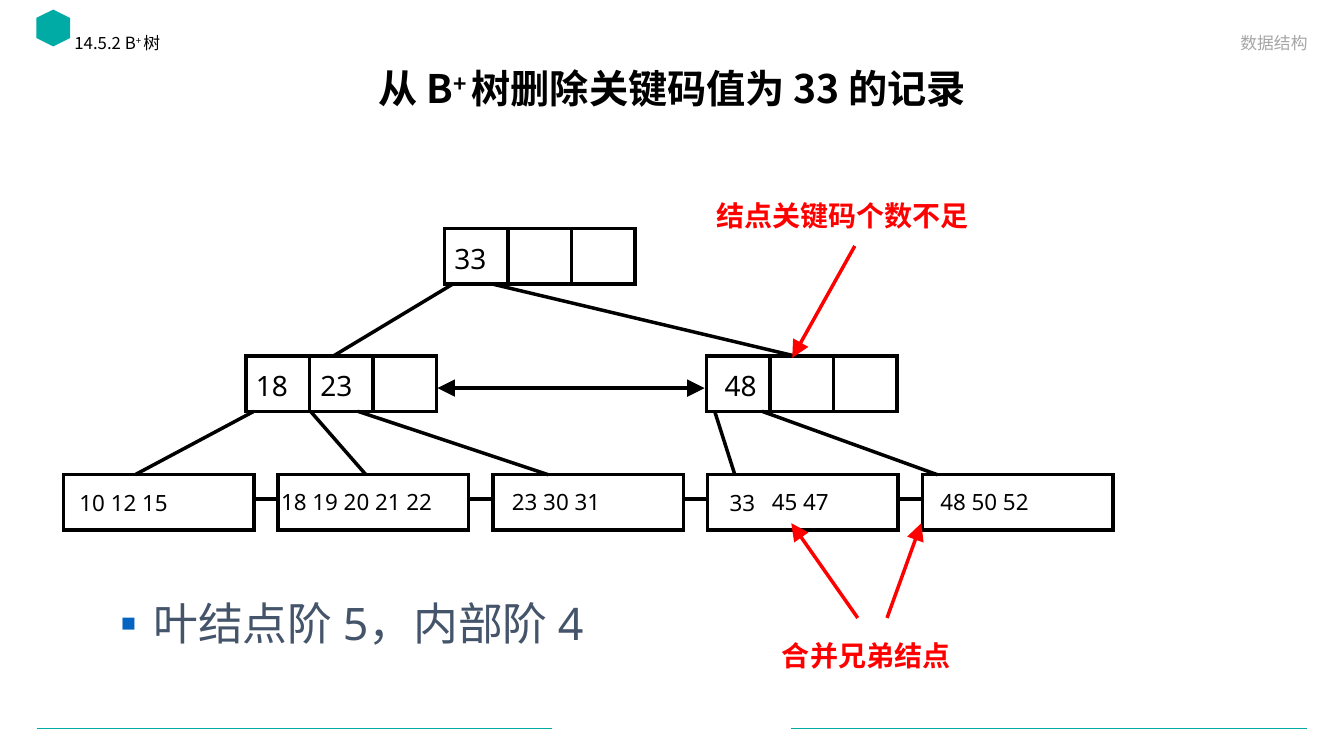
"""Build a slide on deleting key 33 from a B+ tree."""
from dataclasses import dataclass

from lxml.etree import SubElement
from pptx import Presentation
from pptx.dml.color import RGBColor
from pptx.enum.shapes import MSO_CONNECTOR, MSO_SHAPE
from pptx.enum.text import MSO_ANCHOR, MSO_AUTO_SIZE, PP_ALIGN
from pptx.oxml.ns import qn
from pptx.util import Pt

BLACK = RGBColor(0x00, 0x00, 0x00)
RED = RGBColor(0xFF, 0x00, 0x00)
TEAL = RGBColor(0x00, 0xAB, 0xA5)
GREY = RGBColor(0xA6, 0xA6, 0xA6)
SLATE = RGBColor(0x44, 0x54, 0x6A)
BULLET_BLUE = "0563C1"
SANS = "Noto Sans"
SANS_CJK = "Noto Sans CJK SC"

NODE_WIDTH, NODE_HEIGHT = 136.1, 39.6
CELL_WIDTH = NODE_WIDTH / 3
LEAF_LEFT, LEAF_TOP, LEAF_PITCH, LEAF_COUNT = 45.4, 339.1, 153.35, 5
LEAF_LINK_Y = 356.4
ROOT_TOP, INNER_TOP = 163.4, 254.2
ROOT_BOTTOM, INNER_BOTTOM = ROOT_TOP + NODE_HEIGHT, INNER_TOP + NODE_HEIGHT
HANGING = 27.4


@dataclass(frozen=True)
class Node:
    left: float
    top: float


@dataclass(frozen=True)
class Label:
    text: str
    left: float
    top: float
    width: float
    height: float = 31.7
    size: float = 20
    color: RGBColor = BLACK
    bold: bool = False
    wrap: bool = False


@dataclass(frozen=True)
class Line:
    x1: float
    y1: float
    x2: float
    y2: float
    color: RGBColor = BLACK
    width: float = 2.5
    head: bool = False
    tail: bool = False


INNER_NODES = (Node(317.5, ROOT_TOP), Node(175.7, INNER_TOP), Node(504.7, INNER_TOP))
LEAVES = [Node(LEAF_LEFT + i * LEAF_PITCH, LEAF_TOP) for i in range(LEAF_COUNT)]

INNER_KEYS = (
    Label("33", 317.5, 169.2, 40.3),
    Label("18", 175.7, 259.9, 40.3),
    Label("23", 221.8, 259.9, 40.3),
    Label("48", 510.5, 259.9, 40.3),
)
LEAF_KEYS = [
    Label(text, left, top, width, 26.6, 16)
    for text, left, top, width in (
        ("10 12 15", 49.7, 345.6, 86.4),
        ("18 19 20 21 22", 193.7, 344.9, 137.5),
        ("23 30 31", 358.6, 344.9, 86.4),
        ("33", 514.1, 345.6, 35.3),
        ("45 47", 544.3, 344.9, 60.5),
        ("48 50 52", 664.6, 344.9, 86.4),
    )
]
REMARKS = (
    Label("结点关键码个数不足", 504.7, 138.2, 221, color=RED, bold=True, wrap=True),
    Label("合并兄弟结点", 551.5, 452.2, 136.8, color=RED, bold=True),
)

FOOTER_RULES = (
    Line(394.6, 520.2, 26.6, 520.2, TEAL, 0.5),
    Line(933.8, 520.2, 565.2, 520.2, TEAL, 0.5),
)
LEAF_LINKS = [
    Line(leaf.left + NODE_WIDTH, LEAF_LINK_Y, following.left, LEAF_LINK_Y)
    for leaf, following in zip(LEAVES, LEAVES[1:])
]
BRANCHES = (
    Line(323.3, ROOT_BOTTOM, 238.3, INNER_TOP),
    Line(352.1, ROOT_BOTTOM, 567.4, INNER_TOP),
    Line(181.4, INNER_BOTTOM, 96.5, LEAF_TOP),
    Line(221.8, INNER_BOTTOM, 261.4, LEAF_TOP),
    Line(255.6, INNER_BOTTOM, 391.7, LEAF_TOP),
    Line(510.5, INNER_BOTTOM, 524.9, LEAF_TOP),
    Line(544.3, INNER_BOTTOM, 669.6, LEAF_TOP),
)
ARROWS = (
    Line(312.5, 277.2, 503.3, 277.2, head=True, tail=True),
    Line(610.6, 175.7, 565.9, 255.6, RED, tail=True),
    Line(612.7, 441.4, 565.2, 373.7, RED, tail=True),
    Line(633.6, 441.4, 658.1, 373.7, RED, tail=True),
)


def style(paragraph, size: float, face: str, color: RGBColor, bold: bool = False) -> None:
    paragraph.space_before = Pt(0)
    font = paragraph.font
    font.size, font.bold, font.name = Pt(size), bold, face
    font.color.rgb = color
    SubElement(font._element, qn("a:ea"), typeface=SANS_CJK)


def place(shape, left: float, top: float, width: float, height: float) -> None:
    shape.left, shape.top, shape.width, shape.height = map(Pt, (left, top, width, height))


def write_heading(paragraph, before: str, after: str) -> None:
    paragraph.line_spacing = 0.9
    for text in (before, "+ ", after):
        run = paragraph.add_run()
        run.text = text
        if text == "+ ":
            run.font._element.set("baseline", "30000")


def add_node(shapes, node: Node) -> None:
    box = shapes.add_shape(MSO_SHAPE.RECTANGLE, Pt(node.left), Pt(node.top),
                           Pt(NODE_WIDTH), Pt(NODE_HEIGHT))
    box.shadow.inherit = False
    box.fill.background()
    box.line.color.rgb, box.line.width = BLACK, Pt(2.5)
    SubElement(box.line._get_or_add_ln(), qn("a:miter"), lim="800000")


def add_line(shapes, line: Line) -> None:
    connector = shapes.add_connector(MSO_CONNECTOR.STRAIGHT, Pt(line.x1), Pt(line.y1),
                                     Pt(line.x2), Pt(line.y2))
    connector.line.color.rgb, connector.line.width = line.color, Pt(line.width)
    outline = connector.line._get_or_add_ln()
    for tag, shown in (("a:headEnd", line.head), ("a:tailEnd", line.tail)):
        if shown:
            SubElement(outline, qn(tag), type="triangle", w="lg", len="lg")
    SubElement(connector._element.spPr, qn("a:effectLst"))


def add_label(shapes, label: Label) -> None:
    box = shapes.add_textbox(Pt(label.left), Pt(label.top), Pt(label.width), Pt(label.height))
    frame = box.text_frame
    frame.word_wrap = label.wrap
    frame.auto_size = MSO_AUTO_SIZE.SHAPE_TO_FIT_TEXT
    paragraph = frame.paragraphs[0]
    paragraph.text = label.text
    properties = paragraph._p.get_or_add_pPr()
    properties.set("marL", str(Pt(HANGING)))
    properties.set("indent", str(-Pt(HANGING)))
    style(paragraph, label.size, SANS, label.color, label.bold)


def add_emblem(shapes) -> None:
    emblem = shapes.add_shape(MSO_SHAPE.HEXAGON, Pt(24.8), Pt(8), Pt(26.4), Pt(24))
    emblem.rotation = 90
    emblem.shadow.inherit = False
    emblem.fill.solid()
    emblem.fill.fore_color.rgb = TEAL
    emblem.line.fill.background()


def add_headings(slide) -> None:
    title = slide.shapes.title
    place(title, 66.2, 44.6, 828, 41)
    title.text_frame.vertical_anchor = MSO_ANCHOR.MIDDLE
    title.text_frame.auto_size = MSO_AUTO_SIZE.NONE
    heading = title.text_frame.paragraphs[0]
    heading.alignment = PP_ALIGN.CENTER
    write_heading(heading, "从 B", "树删除关键码值为 33 的记录")
    style(heading, 28, SANS_CJK, BLACK, True)

    section = slide.shapes.add_textbox(Pt(46.1), Pt(21.6), Pt(383), Pt(25.9))
    section.text_frame.word_wrap = True
    section_name = section.text_frame.paragraphs[0]
    write_heading(section_name, "14.5.2 B", "树")
    style(section_name, 12, SANS_CJK, BLACK)

    course = slide.shapes.add_textbox(Pt(535), Pt(15.8), Pt(406.1), Pt(25.2))
    course.text_frame.word_wrap = True
    course.text_frame.vertical_anchor = MSO_ANCHOR.BOTTOM
    course_name = course.text_frame.paragraphs[0]
    course_name.text = "数据结构"
    course_name.alignment = PP_ALIGN.RIGHT
    style(course_name, 12, SANS_CJK, GREY)


def fill_order_list(body) -> None:
    place(body, 59.8, 421.9, 447.1, 46.1)
    body.text_frame.auto_size = MSO_AUTO_SIZE.NONE
    orders = body.text_frame.paragraphs[0]
    orders.text = "叶结点阶 5，内部阶 4"
    properties = orders._p.get_or_add_pPr()
    properties.set("marL", str(Pt(42.5)))
    properties.set("indent", str(-Pt(23)))
    SubElement(SubElement(properties, qn("a:buClr")), qn("a:srgbClr"), val=BULLET_BLUE)
    SubElement(properties, qn("a:buSzPct"), val="55000")
    SubElement(properties, qn("a:buChar"), char="■")
    style(orders, 32, SANS, SLATE)


def main() -> None:
    presentation = Presentation()
    presentation.slide_width, presentation.slide_height = Pt(960), Pt(540)
    slide = presentation.slides.add_slide(presentation.slide_layouts[1])
    shapes = slide.shapes
    add_emblem(shapes)
    add_headings(slide)
    fill_order_list(slide.placeholders[1])
    for node in (*INNER_NODES, *LEAVES):
        add_node(shapes, node)
    dividers = [Line(node.left + k * CELL_WIDTH, node.top,
                     node.left + k * CELL_WIDTH, node.top + NODE_HEIGHT)
                for node in INNER_NODES for k in (1, 2)]
    for line in (*FOOTER_RULES, *dividers, *LEAF_LINKS, *BRANCHES, *ARROWS):
        add_line(shapes, line)
    for label in (*INNER_KEYS, *LEAF_KEYS, *REMARKS):
        add_label(shapes, label)
    presentation.save("out.pptx")


if __name__ == "__main__":
    main()
